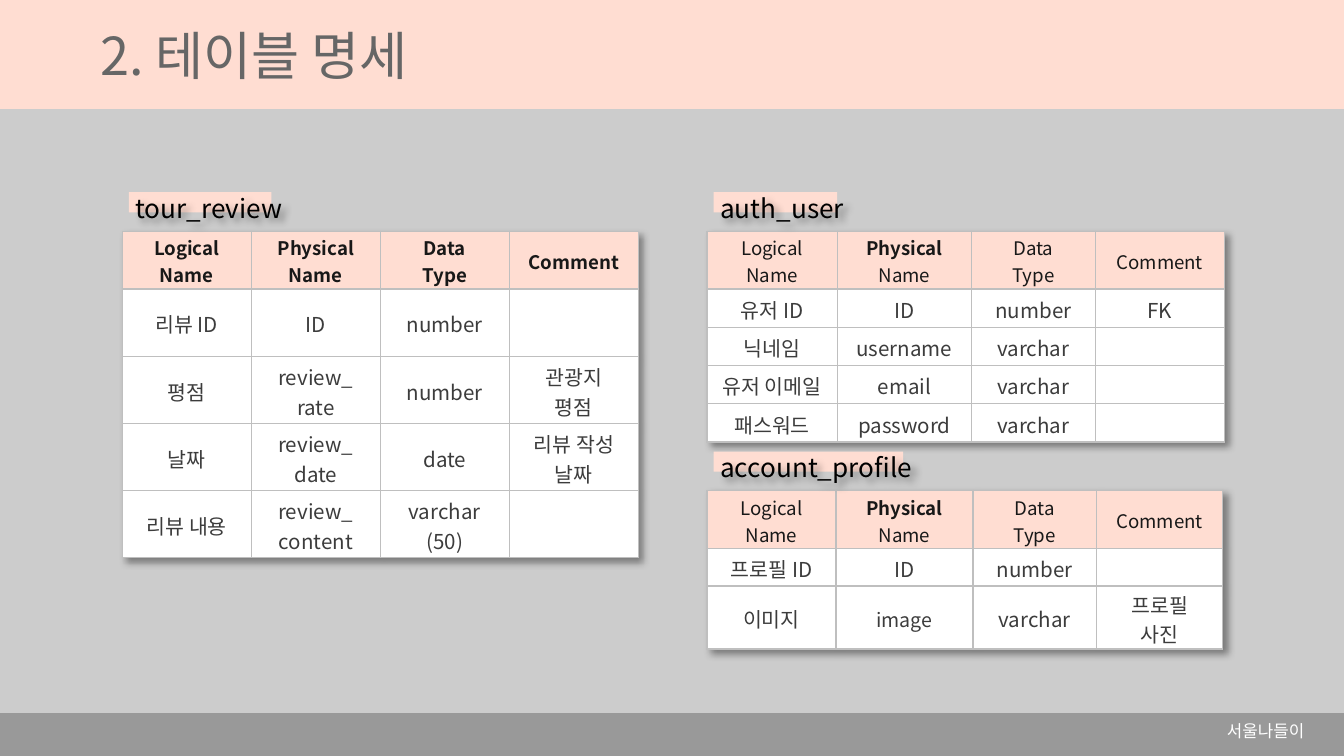
from lxml.etree import SubElement
from pptx import Presentation
from pptx.dml.color import RGBColor
from pptx.enum.shapes import MSO_SHAPE
from pptx.enum.text import MSO_ANCHOR, PP_ALIGN
from pptx.oxml.ns import qn
from pptx.util import Inches, Pt

PINK = RGBColor(0xFF, 0xDD, 0xD2)
PALE_GRAY = RGBColor(0xCC, 0xCC, 0xCC)
BORDER_GRAY = RGBColor(0xBF, 0xBF, 0xBF)
FOOTER_GRAY = RGBColor(0x99, 0x99, 0x99)
TITLE_GRAY = RGBColor(0x66, 0x66, 0x66)
HEADER_INK = RGBColor(0x18, 0x18, 0x18)
BODY_INK = RGBColor(0x3C, 0x3C, 0x3C)
BLACK = RGBColor(0, 0, 0)
WHITE = RGBColor(0xFF, 0xFF, 0xFF)

HEADER = ["Logical\nName", "Physical\nName", "Data\nType", "Comment"]
REVIEW_ROWS = [
    ["리뷰 ID", "ID", "number", ""],
    ["평점", "review_\nrate", "number", "관광지\n평점"],
    ["날짜", "review_\ndate", "date", "리뷰 작성\n날짜"],
    ["리뷰 내용", "review_\ncontent", "varchar\n(50)", ""],
]
USER_ROWS = [
    ["유저 ID", "ID", "number", "FK"],
    ["닉네임", "username", "varchar", ""],
    ["유저 이메일", "email", "varchar", ""],
    ["패스워드", "password", "varchar", ""],
]
PROFILE_ROWS = [
    ["프로필 ID", "ID", "number", ""],
    ["이미지", "image", "varchar", "프로필 사진"],
]


class SlideBuilder:
    font_name = "Noto Sans CJK KR"

    def __init__(self, page):
        self.page = page
        page.background.fill.solid()
        page.background.fill.fore_color.rgb = PALE_GRAY

    def style(self, para, size, color, bold=False):
        for span in para.runs:
            span.font.size = Pt(size)
            span.font.name = self.font_name
            span.font.bold = bold
            span.font.color.rgb = color
            SubElement(span.font._element, qn("a:ea"), typeface=self.font_name)
        if not para.runs:
            SubElement(para._p, qn("a:endParaRPr"), sz=str(int(size * 100)))

    def shadow(self, parent):
        effects = SubElement(parent, qn("a:effectLst"))
        outer = SubElement(effects, qn("a:outerShdw"), blurRad="50800",
                           dist="38100", dir="2700000", algn="tl", rotWithShape="0")
        color = SubElement(outer, qn("a:srgbClr"), val="000000")
        SubElement(color, qn("a:alpha"), val="40000")
        return effects

    def bar(self, left, top, width, height, color, outlined=False):
        shape = self.page.shapes.add_shape(
            MSO_SHAPE.RECTANGLE, Inches(left), Inches(top), Inches(width), Inches(height))
        shape.shadow.inherit = False
        shape.fill.solid()
        shape.fill.fore_color.rgb = color
        if outlined:
            shape.line.color.rgb = color
            shape.line.width = Pt(0.75)
        else:
            shape.line.fill.background()

    def text(self, left, top, width, height, words, size, color, inset=0.1, indent=0):
        box = self.page.shapes.add_textbox(
            Inches(left), Inches(top), Inches(width), Inches(height))
        frame = box.text_frame
        frame.margin_top = frame.margin_bottom = Inches(inset)
        frame.word_wrap = True
        frame.text = words
        para = frame.paragraphs[0]
        if indent:
            para._p.get_or_add_pPr().set("marL", str(Inches(indent)))
        self.style(para, size, color)
        return box

    def label(self, left, top, words, box_width, bar_width):
        self.bar(left + 0.05, top + 0.05, bar_width, 0.15, PINK)
        box = self.text(left, top, box_width, 0.34, words, 14, BLACK, inset=0.05)
        self.shadow(box._element.spPr)

    def cell(self, cell, words, size, color, fill, bold_words):
        cell.margin_left = cell.margin_right = Inches(0.11)
        cell.margin_top, cell.margin_bottom = Inches(0.02), 0
        cell.vertical_anchor = MSO_ANCHOR.MIDDLE
        for side in ("a:lnL", "a:lnR", "a:lnT", "a:lnB"):
            edge = SubElement(cell._tc.get_or_add_tcPr(), qn(side), w=str(Pt(0.75)))
            SubElement(SubElement(edge, qn("a:solidFill")), qn("a:srgbClr"),
                       val=str(BORDER_GRAY))
        cell.fill.solid()
        cell.fill.fore_color.rgb = fill
        cell.text_frame.text = words
        for para in cell.text_frame.paragraphs:
            para.alignment = PP_ALIGN.CENTER
            self.style(para, size, color, para.text in bold_words)

    def table(self, left, top, widths, heights, rows, bold_words):
        frame = self.page.shapes.add_table(
            len(heights), len(widths), Inches(left), Inches(top),
            Inches(sum(widths)), Inches(sum(heights)))
        table = frame.table
        table._tbl.tblPr.insert(0, self.shadow(table._tbl.tblPr))
        for column, width in zip(table.columns, widths):
            column.width = Inches(width)
        for row, height in zip(table.rows, heights):
            row.height = Inches(height)
        for cell, words in zip(table.rows[0].cells, HEADER):
            self.cell(cell, words, 10, HEADER_INK, PINK, bold_words)
        for row_index, row in enumerate(rows, 1):
            for cell, words in zip(table.rows[row_index].cells, row):
                size = 10.5 if words == "image" else 11
                self.cell(cell, words, size, BODY_INK, WHITE, ())


def main():
    deck = Presentation()
    deck.slide_width = Inches(10)
    deck.slide_height = Inches(10 * 9 / 16)
    builder = SlideBuilder(deck.slides.add_slide(deck.slide_layouts[6]))

    builder.bar(0, 0, 10, 0.81, PINK, outlined=True)
    builder.bar(0, 5.31, 10, 0.31, FOOTER_GRAY, outlined=True)
    builder.text(0.59, 0.07, 4.15, 0.67, "2. 테이블 명세", 28, TITLE_GRAY, indent=0.06)

    all_bold = "\n".join(HEADER).split("\n")
    builder.table(0.91, 1.72, [0.96] * 4, [0.43] + [0.5] * 4, REVIEW_ROWS, all_bold)
    builder.table(5.26, 1.72, [0.97, 1, 0.92, 0.96], [0.43] + [1.14 / 4] * 4,
                  USER_ROWS, ["Physical"])
    builder.table(5.26, 3.65, [0.96, 1.02, 0.92, 0.94], [0.43, 0.28, 0.47],
                  PROFILE_ROWS, ["Physical"])

    builder.label(0.91, 1.38, "tour_review", 1.44, 1.06)
    builder.label(5.26, 1.38, "auth_user", 1.19, 0.92)
    builder.label(5.26, 3.31, "account_profile", 1.71, 1.41)
    builder.text(9.03, 5.29, 0.89, 0.35, "서울나들이", 9, WHITE)
    deck.save("out.pptx")


if __name__ == "__main__":
    main()
